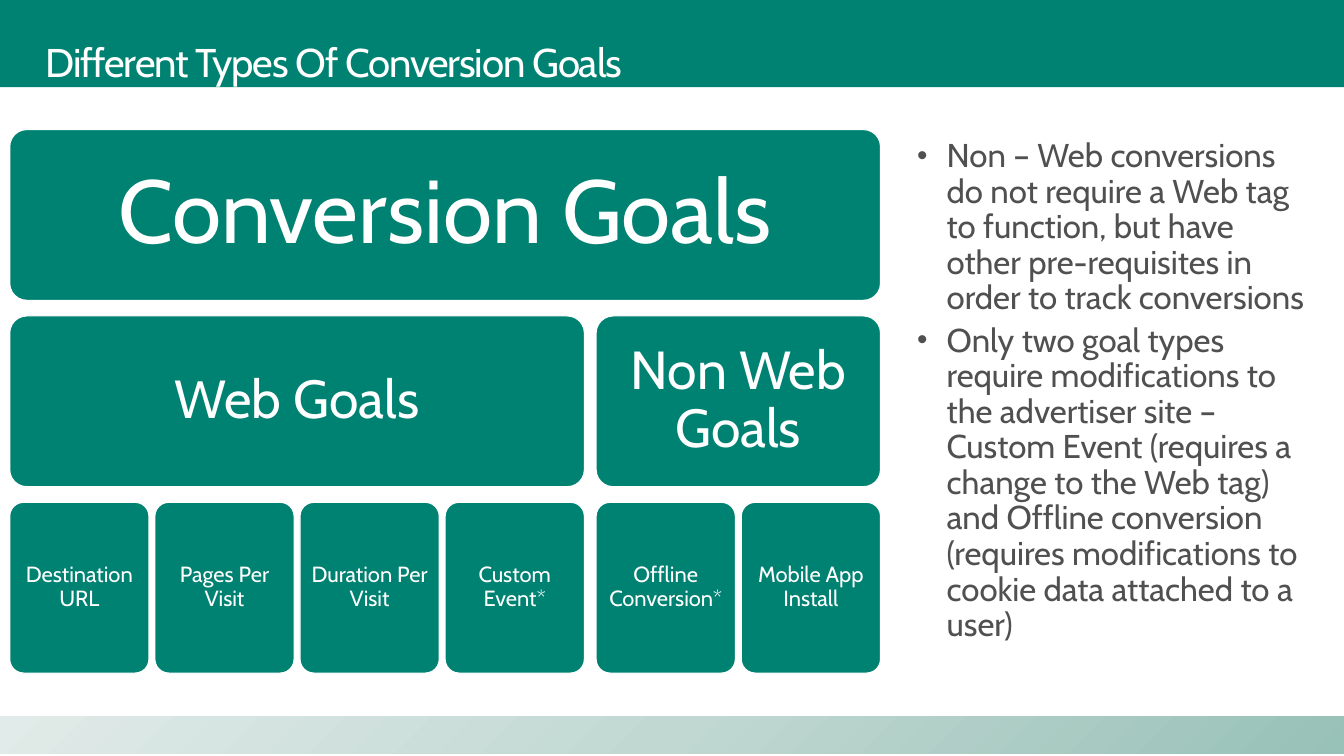
import copy
from dataclasses import dataclass

import lxml.etree
import pptx
import pptx.dml.color
import pptx.enum.shapes
import pptx.enum.text
import pptx.oxml.ns
import pptx.util

Cm = pptx.util.Cm
Pt = pptx.util.Pt

COLOURS = {
    "teal": "008272",
    "white": "FFFFFF",
    "body": "505050",
    "footer_dark": "98C1B7",
    "footer_middle": "C1D8D2",
    "footer_light": "E1EBE9",
}
FONT = "Cabin"
SLIDE_WIDTH, SLIDE_HEIGHT = 34.54, 19.43
TOP, ROW_PITCH, TILE_HEIGHT = 3.33, 4.79, 4.39
TILE_WIDTH, TILE_PITCH = 3.58, 3.73
WEB_LEFT, NON_WEB_LEFT = 0.25, 15.32


@dataclass(frozen=True)
class Level:
    row: int
    size: float
    inset: float


@dataclass(frozen=True)
class GoalGroup:
    name: str
    left: float
    goals: tuple[str, ...]

    @property
    def width(self) -> float:
        return (len(self.goals) - 1) * TILE_PITCH + TILE_WIDTH


HEADING = Level(0, 65, 0.69)
GROUP = Level(1, 39, 0.41)
GOAL = Level(2, 16, 0.18)

GROUPS = (
    GoalGroup("Web Goals", WEB_LEFT,
              ("Destination URL", "Pages Per Visit", "Duration Per Visit", "Custom Event*")),
    GoalGroup("Non Web Goals", NON_WEB_LEFT,
              ("Offline Conversion*", "Mobile App Install")),
)
NOTES = (
    "Non – Web conversions do not require a Web tag to function, but have other "
    "pre-requisites in order to track conversions",
    "Only two goal types require modifications to the advertiser site – Custom Event "
    "(requires a change to the Web tag) and Offline conversion (requires modifications "
    "to cookie data attached to a user)",
)


def rgb(name: str) -> pptx.dml.color.RGBColor:
    return pptx.dml.color.RGBColor.from_string(COLOURS[name])


def set_insets(text_frame, horizontal: float, vertical: float) -> None:
    text_frame.word_wrap = True
    text_frame.margin_left = text_frame.margin_right = Cm(horizontal)
    text_frame.margin_top = text_frame.margin_bottom = Cm(vertical)


def format_paragraph(paragraph, size: float, colour: str) -> None:
    paragraph.line_spacing = 0.9
    for run in paragraph.runs:
        run.font.name = FONT
        run.font.size = Pt(size)
        run.font.color.rgb = rgb(colour)


def add_band(slide, top: float, height: float):
    band = slide.shapes.add_shape(
        pptx.enum.shapes.MSO_SHAPE.RECTANGLE, 0, Cm(top), Cm(SLIDE_WIDTH), Cm(height))
    band.shadow.inherit = False
    band.line.fill.background()
    return band


def add_footer(slide) -> None:
    fill = add_band(slide, 18.42, 0.95).fill
    fill.gradient()
    fill.gradient_angle = 135
    first = fill._fill._gradFill.gsLst[0]
    first.addnext(copy.deepcopy(first))
    stops = zip(fill.gradient_stops, (0, 0.5, 1),
                ("footer_dark", "footer_middle", "footer_light"))
    for stop, position, colour in stops:
        stop.position = position
        stop.color.rgb = rgb(colour)


def add_title(slide, text: str) -> None:
    header = add_band(slide, 0, 2.24)
    header.fill.solid()
    header.fill.fore_color.rgb = rgb("teal")
    title = slide.shapes.add_textbox(Cm(0.76), Cm(0.84), Cm(30.76), Cm(1.85))
    set_insets(title.text_frame, 0.41, 0.25)
    title.text_frame.text = text
    paragraph = title.text_frame.paragraphs[0]
    format_paragraph(paragraph, 29.2, "white")
    paragraph.runs[0].font._element.set("spc", "-80")


def add_tile(slide, text: str, left: float, width: float, level: Level) -> None:
    tile = slide.shapes.add_shape(
        pptx.enum.shapes.MSO_SHAPE.ROUNDED_RECTANGLE,
        Cm(left), Cm(TOP + level.row * ROW_PITCH), Cm(width), Cm(TILE_HEIGHT))
    tile.adjustments[0] = 0.1
    tile.shadow.inherit = False
    tile.fill.solid()
    tile.fill.fore_color.rgb = rgb("teal")
    tile.line.color.rgb = rgb("white")
    tile.line.width = Pt(0.85)
    set_insets(tile.text_frame, level.inset, level.inset)
    tile.text_frame.vertical_anchor = pptx.enum.text.MSO_ANCHOR.MIDDLE
    tile.text_frame.text = text
    paragraph = tile.text_frame.paragraphs[0]
    paragraph.alignment = pptx.enum.text.PP_ALIGN.CENTER
    format_paragraph(paragraph, level.size, "white")


def add_bullet(paragraph) -> None:
    properties = paragraph._p.get_or_add_pPr()
    properties.set("marL", str(Cm(0.76)))
    properties.set("indent", str(-Cm(0.76)))
    for tag, attribute, value in (
        ("a:buSzPct", "val", "90000"),
        ("a:buFont", "typeface", "Arial"),
        ("a:buChar", "char", "•"),
    ):
        lxml.etree.SubElement(properties, pptx.oxml.ns.qn(tag)).set(attribute, value)


def add_notes(slide) -> None:
    box = slide.shapes.add_textbox(Cm(23.16), Cm(3.33), Cm(10.9), Cm(13.49))
    set_insets(box.text_frame, 0.41, 0.25)
    box.text_frame.text = "\n".join(NOTES)
    for index, paragraph in enumerate(box.text_frame.paragraphs):
        add_bullet(paragraph)
        format_paragraph(paragraph, 24, "body")
        if index:
            paragraph.space_before = Pt(4.8)


def main() -> None:
    presentation = pptx.Presentation()
    presentation.slide_width = Cm(SLIDE_WIDTH)
    presentation.slide_height = Cm(SLIDE_HEIGHT)
    slide = presentation.slides.add_slide(presentation.slide_layouts[6])
    add_footer(slide)
    add_title(slide, "Different Types Of Conversion Goals")
    add_notes(slide)
    total_width = GROUPS[-1].left + GROUPS[-1].width - WEB_LEFT
    add_tile(slide, "Conversion Goals", WEB_LEFT, total_width, HEADING)
    for group in GROUPS:
        add_tile(slide, group.name, group.left, group.width, GROUP)
        for column, goal in enumerate(group.goals):
            add_tile(slide, goal, group.left + column * TILE_PITCH, TILE_WIDTH, GOAL)
    presentation.save("out.pptx")


if __name__ == "__main__":
    main()
